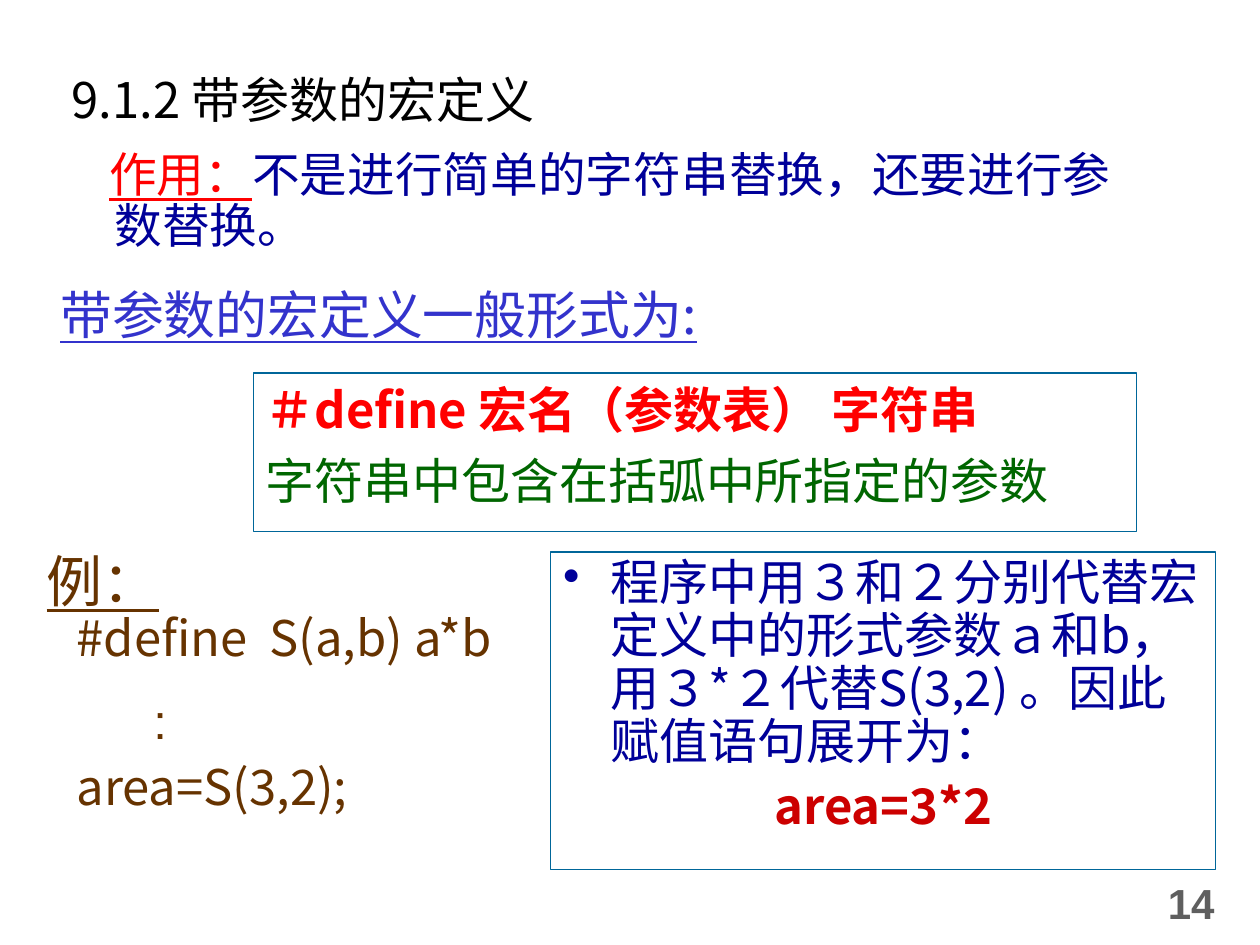
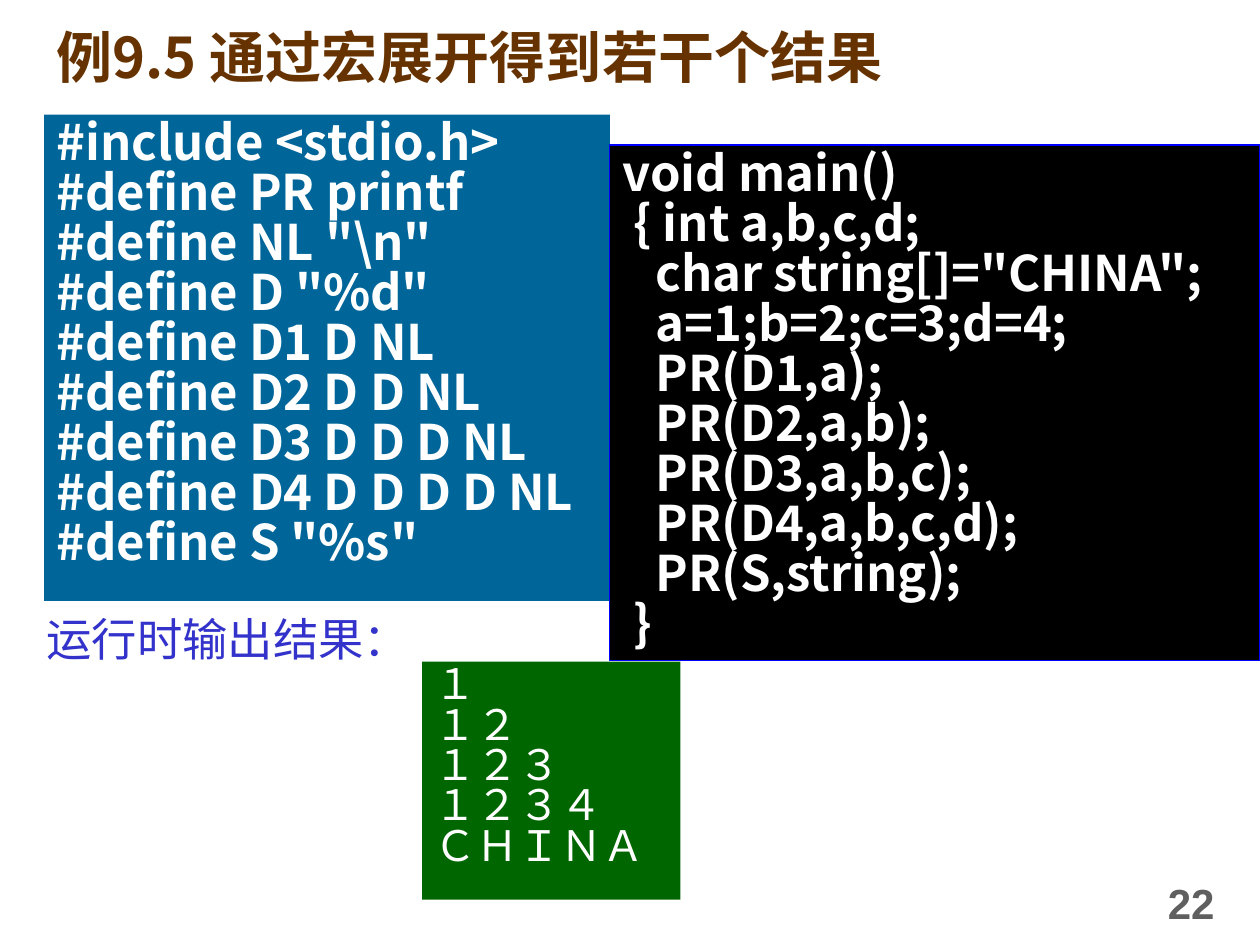
from lxml import etree
from pptx import Presentation
from pptx import util as u
from pptx.dml.color import RGBColor
from pptx.enum import shapes, text
from pptx.oxml.ns import qn

COLORS = {
    "black": "000000", "white": "FFFFFF", "gray": "5F5F5F", "navy": "000099",
    "blue": "3333CC", "edge": "0000FF", "teal": "006699", "green": "006600",
    "brown": "663300", "red": "FF0000", "crimson": "CC0000",
}
SANS = "Noto Sans CJK SC"
HANG = (0.38, -0.38)
DEFINES = r'''#include <stdio.h>
#define PR printf
#define NL "\n"
#define D "%d"
#define D1 D NL
#define D2 D D NL
#define D3 D D D NL
#define D4 D D D D NL
#define S "%s"'''
MAIN = '''void main()
 { int a,b,c,d;
   char string[]="CHINA";
   a=1;b=2;c=3;d=4;
   PR(D1,a);
   PR(D2,a,b);
   PR(D3,a,b,c);
   PR(D4,a,b,c,d);
   PR(S,string);
 }'''
OUTPUT = "１\n１２\n１２３\n１２３４\nＣＨＩＮＡ"


class LessonDeck:
    """Builds lecture slides in one shared style."""

    def __init__(self):
        self.deck = Presentation()
        self.deck.slide_width, self.deck.slide_height = u.Inches(10), u.Inches(7.5)
        self.page = None

    def color(self, name):
        return RGBColor.from_string(COLORS[name])

    def start(self, number):
        self.page = self.deck.slides.add_slide(self.deck.slide_layouts[5])
        frame = self.text_box((9.17, 6.83, 0.71, 0.67), wrap=False)
        frame.vertical_anchor = text.MSO_ANCHOR.MIDDLE
        self.para(frame, number, 24, "gray", bold=True, font="Arial")

    def prepare(self, box, top=0.05, wrap=True):
        frame = box.text_frame
        frame.auto_size = text.MSO_AUTO_SIZE.NONE
        frame.word_wrap = wrap
        frame.vertical_anchor = text.MSO_ANCHOR.TOP
        frame.margin_left = frame.margin_right = u.Inches(0.1)
        frame.margin_top, frame.margin_bottom = u.Inches(top), u.Inches(0.05)
        return frame

    def title(self, place, words, size, color, top, bold=False, indent=(0, 0)):
        box = self.page.shapes.title
        box.left, box.top, box.width, box.height = map(u.Inches, place)
        self.para(self.prepare(box, top), words, size, color, bold=bold, indent=indent)

    def text_box(self, place, top=0.05, wrap=True):
        box = self.page.shapes.add_textbox(*map(u.Inches, place))
        return self.prepare(box, top, wrap)

    def panel(self, place, fill=None, line=None):
        box = self.page.shapes.add_shape(shapes.MSO_SHAPE.RECTANGLE, *map(u.Inches, place))
        box.shadow.inherit = False
        if fill:
            box.fill.solid()
            box.fill.fore_color.rgb = self.color(fill)
        else:
            box.fill.background()
        if line:
            box.line.color.rgb = self.color(line)
            box.line.width = u.Pt(0.75)
        else:
            box.line.fill.background()
        return self.prepare(box)

    def para(self, frame, spans, size, color, bold=False, underline=None, font=SANS,
             indent=(0, 0), spacing=1.0, before=0, after=0, bullet=None, centered=False):
        first = frame.paragraphs[0]
        para = frame.add_paragraph() if first.runs else first
        para.alignment = text.PP_ALIGN.CENTER if centered else text.PP_ALIGN.LEFT
        para.line_spacing = spacing
        para.space_before, para.space_after = u.Pt(before), u.Pt(after)
        props = para._p.get_or_add_pPr()
        props.set("marL", str(u.Inches(indent[0])))
        props.set("indent", str(u.Inches(indent[1])))
        if bullet:
            tint = etree.SubElement(props, qn("a:buClr"))
            etree.SubElement(tint, qn("a:srgbClr")).set("val", COLORS[color])
            etree.SubElement(props, qn("a:buChar")).set("char", bullet)
        else:
            etree.SubElement(props, qn("a:buNone"))
        para.font.size, para.font.name = u.Pt(size), font
        para.font.bold, para.font.underline = bold, underline
        para.font.color.rgb = self.color(color)
        east = etree.SubElement(props.find(qn("a:defRPr")), qn("a:ea"))
        east.set("typeface", font)
        for words, accent in [(spans, None)] if isinstance(spans, str) else spans:
            span = para.add_run()
            span.text = words
            if accent:
                span.font.color.rgb = self.color(accent)
                span.font.underline = True

    def listing(self, place, lines, size, spacing, fill, line=None, bold=True):
        frame = self.panel(place, fill, line)
        for words in lines.splitlines():
            self.para(frame, words, size, "white", bold, indent=HANG, spacing=spacing)


def macro_parameters(lesson):
    lesson.start("14")
    lesson.title((0.35, 0.44, 9.25, 0.81), "9.1.2 带参数的宏定义", 28, "black",
                 top=0.11, indent=(0.12, 0))
    purpose = lesson.text_box((0.43, 1.15, 8.74, 1.02))
    lesson.para(purpose, [("作用：", "red"), ("不是进行简单的字符串替换，还要进行参数替换。", None)],
                27.2, "navy", indent=(0.38, -0.04), spacing=0.9)
    heading = lesson.text_box((0.2, 2.25, 8.03, 0.63))
    lesson.para(heading, "带参数的宏定义一般形式为:", 29.6, "blue", underline=True,
                indent=(0.38, -0.2), spacing=0.9)
    syntax = lesson.panel((2.01, 2.96, 7.01, 1.26), line="teal")
    lesson.para(syntax, "＃define 宏名（参数表） 字符串", 28, "red", bold=True, indent=HANG)
    lesson.para(syntax, "字符串中包含在括弧中所指定的参数", 28, "green", indent=HANG, before=7)
    code = lesson.text_box((0.51, 4.77, 4.17, 1.81))
    lesson.para(code, "#define  S(a,b) a*b", 28, "brown", indent=HANG)
    lesson.para(code, ":", 28, "brown", font="Arial", indent=(0.61, 0), before=14, after=4)
    lesson.para(code, "area=S(3,2);", 28, "brown", indent=HANG)
    result = lesson.panel((4.37, 4.38, 5.28, 2.52), line="teal")
    lesson.para(result, "程序中用３和２分别代替宏定义中的形式参数ａ和b，用３*２代替S(3,2) 。因此赋值语句展开为：",
                28, "navy", indent=HANG, spacing=0.9, bullet="•")
    lesson.para(result, "area=3*2", 28, "crimson", bold=True, indent=HANG,
                spacing=0.9, before=7, centered=True)
    example = lesson.text_box((0.27, 4.06, 1.09, 0.86), top=0.17, wrap=False)
    lesson.para(example, "例：", 32, "brown", underline=True, font="Noto Sans CJK JP",
                spacing=1.2, centered=True)


def macro_expansion(lesson):
    lesson.start("22")
    lesson.title((0.35, 0.08, 8, 0.75), "例9.5 通过宏展开得到若干个结果", 32, "brown",
                 top=0.1, bold=True)
    lesson.listing((0.35, 0.91, 4.49, 3.86), DEFINES, 28, 0.85, "teal")
    lesson.listing((4.84, 1.15, 5.16, 4.09), MAIN, 28, 0.85, "black", line="edge")
    caption = lesson.text_box((0.27, 4.85, 4.1, 0.55))
    lesson.para(caption, "运行时输出结果：", 25.9, "blue", indent=HANG, spacing=0.9)
    lesson.listing((3.35, 5.25, 2.05, 1.89), OUTPUT, 24, 0.8, "green", bold=False)


def main():
    lesson = LessonDeck()
    macro_parameters(lesson)
    macro_expansion(lesson)
    lesson.deck.save("out.pptx")


if __name__ == "__main__":
    main()
